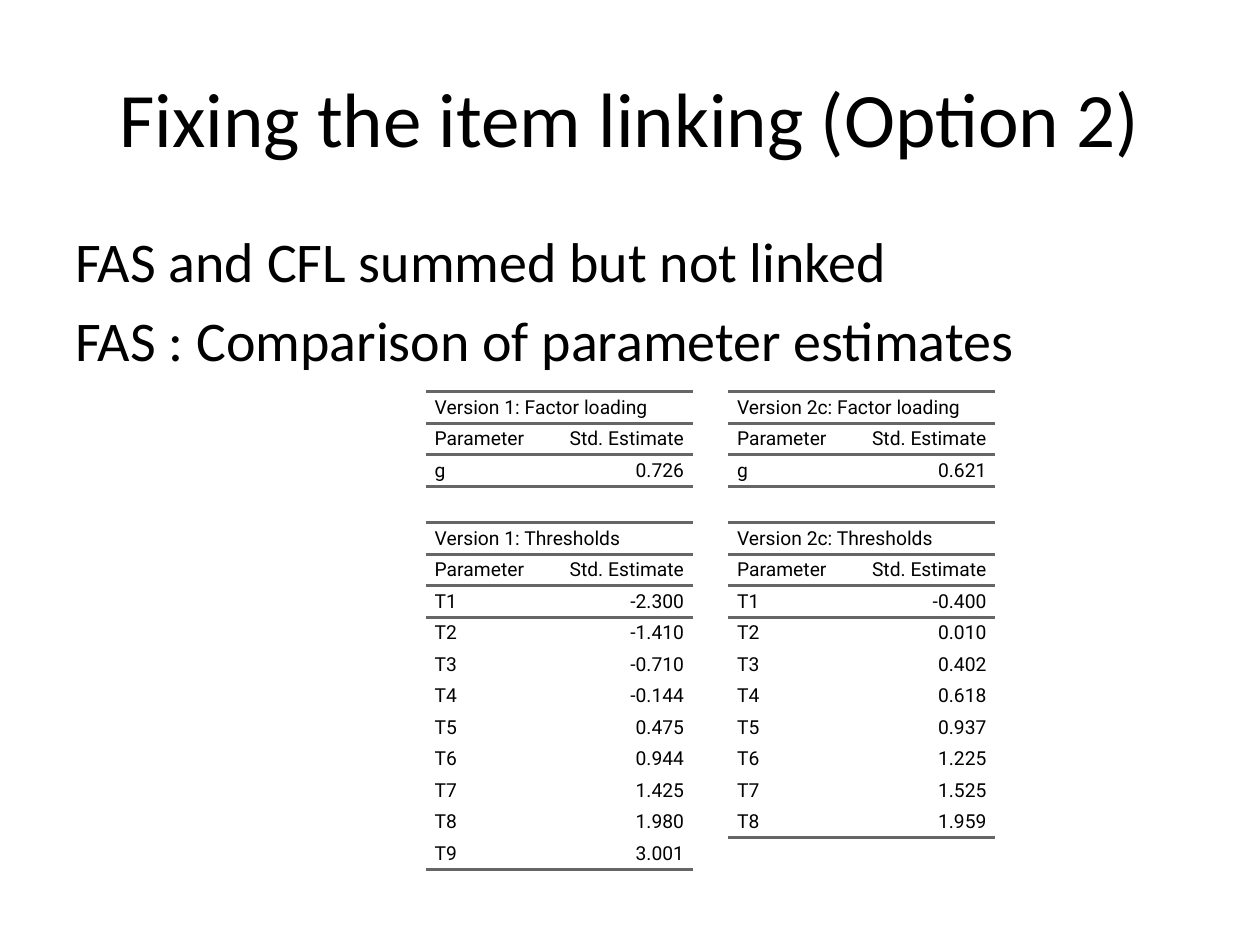
from dataclasses import dataclass

from lxml import etree
from pptx import Presentation
from pptx.dml.color import RGBColor
from pptx.enum.text import MSO_ANCHOR, PP_ALIGN
from pptx.oxml.ns import qn
from pptx.util import Inches, Pt

LEFT, CENTER, RIGHT = PP_ALIGN.LEFT, PP_ALIGN.CENTER, PP_ALIGN.RIGHT
TOP, MIDDLE = MSO_ANCHOR.TOP, MSO_ANCHOR.MIDDLE

COLORS = {"text": "000000", "rule": "666666"}
BODY_FONT, TABLE_FONT = "Calibri", "Roboto"
NO_TABLE_STYLE = "{2D5ABB26-0587-4C30-8999-92F81FD0307C}"

COLUMN_WIDTH, ROW_HEIGHT, CELL_INDENT = 1.06, 0.25, 0.07
VERSION_LEFTS = (3.38, 5.78)
LOADING_TOP, THRESHOLD_TOP = 3.11, 4.15


@dataclass(frozen=True)
class Version:
    name: str
    loading: str
    thresholds: tuple[str, ...]


VERSIONS = (
    Version("Version 1", "0.726", ("-2.300", "-1.410", "-0.710", "-0.144", "0.475",
                                   "0.944", "1.425", "1.980", "3.001")),
    Version("Version 2c", "0.621", ("-0.400", "0.010", "0.402", "0.618", "0.937",
                                    "1.225", "1.525", "1.959")),
)


def write_text(frame, *lines: str, font: str, size: float, align=LEFT,
               before: float = 0, after: float = 0, indent: float = 0) -> None:
    """Write one paragraph per line with a shared format."""
    for index, line in enumerate(lines):
        paragraph = frame.add_paragraph() if index else frame.paragraphs[0]
        paragraph.alignment = align
        paragraph.space_before, paragraph.space_after = Pt(before), Pt(after)
        if indent:
            properties = paragraph._p.get_or_add_pPr()
            for side in ("marL", "marR"):
                properties.set(side, str(Inches(indent)))
        run = paragraph.add_run()
        run.text = line
        run.font.name, run.font.size = font, Pt(size)
        run.font.color.rgb = RGBColor.from_string(COLORS["text"])


def add_text_box(slide, left: float, top: float, width: float, height: float,
                 anchor=TOP):
    box = slide.shapes.add_textbox(Inches(left), Inches(top), Inches(width), Inches(height))
    frame = box.text_frame
    frame.word_wrap = True
    frame.vertical_anchor = anchor
    return frame


def add_rule(cell, side: str) -> None:
    """Draw a cell border; side is lnT or lnB."""
    line = etree.SubElement(cell._tc.get_or_add_tcPr(), qn(f"a:{side}"), w=str(Pt(2)))
    fill = etree.SubElement(line, qn("a:solidFill"))
    etree.SubElement(fill, qn("a:srgbClr"), val=COLORS["rule"])


def add_estimates(slide, left: float, top: float, title: str,
                  estimates: list[tuple[str, str]]) -> None:
    rows = [(title, ""), ("Parameter", "Std. Estimate"), *estimates]
    last = len(rows) - 1
    frame = slide.shapes.add_table(len(rows), 2, Inches(left), Inches(top),
                                   Inches(2 * COLUMN_WIDTH), Inches(len(rows) * ROW_HEIGHT))
    table = frame.table
    table.first_row = table.horz_banding = False
    table._tbl.tblPr.find(qn("a:tableStyleId")).text = NO_TABLE_STYLE
    for column in table.columns:
        column.width = Inches(COLUMN_WIDTH)
    table.cell(0, 0).merge(table.cell(0, 1))

    for row_index, row in enumerate(rows):
        table.rows[row_index].height = Inches(ROW_HEIGHT)
        for column_index, text in enumerate(row):
            cell = table.cell(row_index, column_index)
            cell.margin_left = cell.margin_right = cell.margin_top = cell.margin_bottom = 0
            cell.vertical_anchor = MIDDLE
            # Rules frame the title, the heading row and the end of the table
            if row_index <= 2:
                add_rule(cell, "lnT")
            if row_index in (0, 1, last):
                add_rule(cell, "lnB")
            cell.fill.background()
            if text:
                write_text(cell.text_frame, text, font=TABLE_FONT, size=11,
                           align=RIGHT if column_index else LEFT,
                           before=5, after=5, indent=CELL_INDENT)


presentation = Presentation()
presentation.slide_width, presentation.slide_height = Inches(10), Inches(7.5)
slide = presentation.slides.add_slide(presentation.slide_layouts[6])

# Title and introduction
write_text(add_text_box(slide, 0.5, 0.3, 9, 1.25, MIDDLE),
           "Fixing the item linking (Option 2)", font=BODY_FONT, size=44, align=CENTER)
write_text(add_text_box(slide, 0.5, 1.75, 9, 4.95),
           "FAS and CFL summed but not linked",
           "FAS : Comparison of parameter estimates",
           font=BODY_FONT, size=32, before=6.4)

# Factor loading above thresholds, one column per version
for left, version in zip(VERSION_LEFTS, VERSIONS):
    add_estimates(slide, left, LOADING_TOP, f"{version.name}: Factor loading",
                  [("g", version.loading)])
    add_estimates(slide, left, THRESHOLD_TOP, f"{version.name}: Thresholds",
                  [(f"T{number}", value)
                   for number, value in enumerate(version.thresholds, start=1)])

presentation.save("out.pptx")
